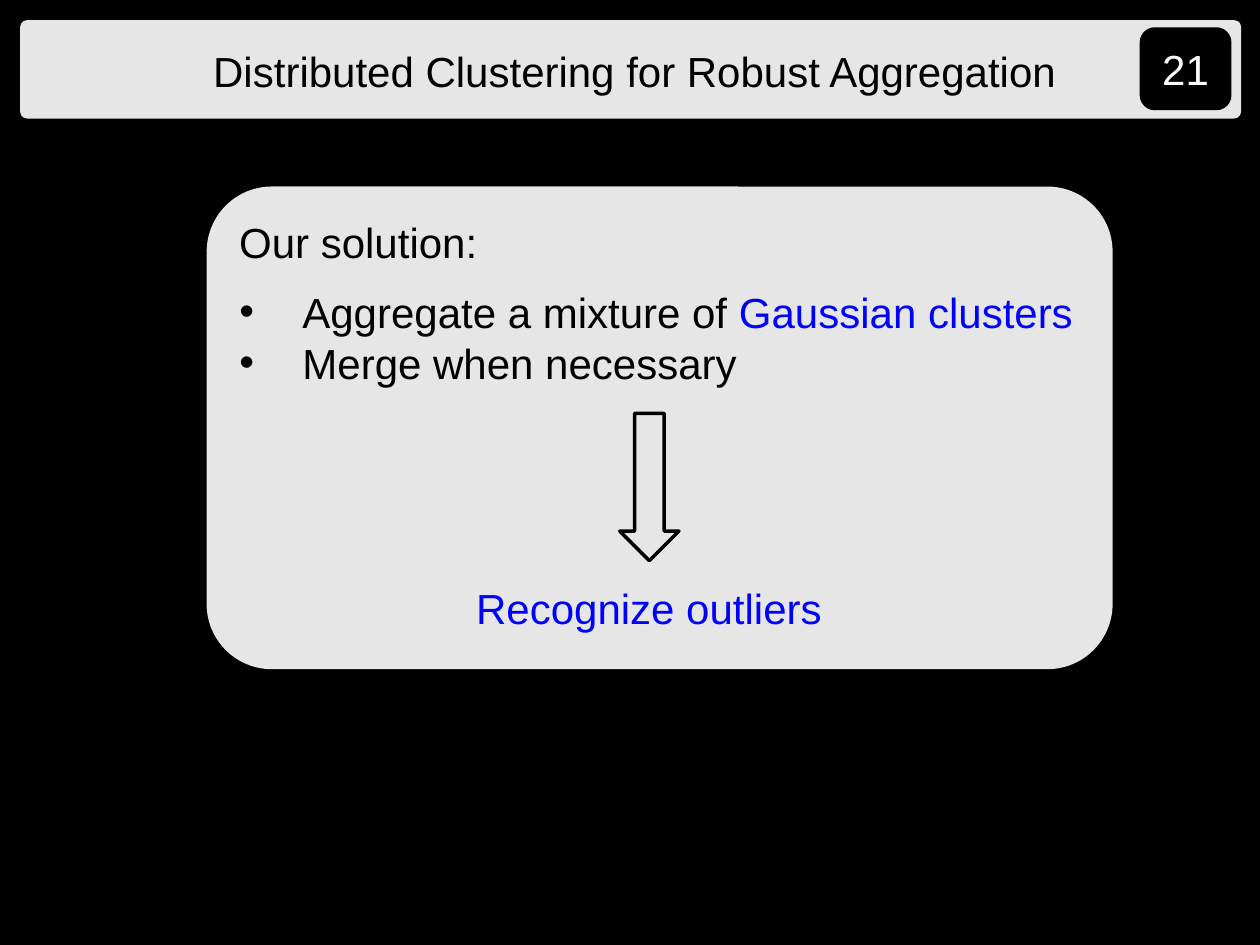
"""Build the slide on distributed clustering for robust aggregation."""
from dataclasses import dataclass
from typing import NamedTuple

from lxml import etree
from pptx import Presentation
from pptx.dml.color import RGBColor
from pptx.enum.shapes import MSO_SHAPE
from pptx.enum.text import MSO_ANCHOR, MSO_AUTO_SIZE, PP_ALIGN
from pptx.oxml.ns import qn
from pptx.shapes.autoshape import Shape
from pptx.slide import Slide
from pptx.util import Pt

ROUNDED, DOWN_ARROW = MSO_SHAPE.ROUNDED_RECTANGLE, MSO_SHAPE.DOWN_ARROW
TOP, MIDDLE = MSO_ANCHOR.TOP, MSO_ANCHOR.MIDDLE
LEFT, CENTER = PP_ALIGN.LEFT, PP_ALIGN.CENTER
NO_AUTOFIT = MSO_AUTO_SIZE.NONE


@dataclass(frozen=True)
class Theme:
    """Colours and type of the slide."""

    black: RGBColor = RGBColor(0, 0, 0)
    white: RGBColor = RGBColor(255, 255, 255)
    blue: RGBColor = RGBColor(0, 0, 255)
    font: str = "Arial"
    size: float = 24
    line_spacing: float = 29
    panel_opacity: int = 90
    outline: float = 2
    bullet_indent: float = 36


class Box(NamedTuple):
    """Position and size in points."""

    left: float
    top: float
    width: float
    height: float


class Span(NamedTuple):
    """Words in one colour."""

    text: str
    color: RGBColor


THEME = Theme()
HEADER = Box(11.5, 11.5, 697.7, 56.2)
TITLE = Box(16.6, 22.3, 692, 36)
NUMBER = Box(652.3, 16.6, 50.4, 45.4)
CARD = Box(118.1, 106.6, 517.7, 275.8)
INTRO = Box(129.6, 120.2, 385.9, 36)
STEPS = Box(129.6, 159.8, 500.4, 64.8)
ARROW = Box(354.2, 236.2, 33.8, 84.2)
RESULT = Box(265, 329, 218.9, 36)


def place(shape: Shape, box: Box) -> None:
    """Move and size a shape."""
    shape.left, shape.top, shape.width, shape.height = map(Pt, box)


def write(shape: Shape, lines: list[list[Span]], align: PP_ALIGN = LEFT,
          anchor: MSO_ANCHOR = TOP) -> None:
    """Fill a shape with lines of coloured spans."""
    frame = shape.text_frame
    frame.word_wrap = True
    frame.auto_size = NO_AUTOFIT
    frame.vertical_anchor = anchor
    frame.text = "\n".join("" for _ in lines)
    for paragraph, spans in zip(frame.paragraphs, lines):
        paragraph.alignment = align
        paragraph.space_before = Pt(0)
        paragraph.line_spacing = Pt(THEME.line_spacing)
        for span in spans:
            run = paragraph.add_run()
            run.text = span.text
            run.font.name = THEME.font
            run.font.size = Pt(THEME.size)
            run.font.color.rgb = span.color


def add_bullets(shape: Shape) -> None:
    """Give every paragraph a round bullet and a hanging indent."""
    indent = Pt(THEME.bullet_indent)
    for paragraph in shape.text_frame.paragraphs:
        properties = paragraph._p.get_or_add_pPr()
        properties.set("marL", str(indent))
        properties.set("indent", str(-indent))
        color = etree.SubElement(properties, qn("a:buClr"))
        etree.SubElement(color, qn("a:srgbClr"), val=str(THEME.black))
        etree.SubElement(properties, qn("a:buFont"), typeface=THEME.font)
        etree.SubElement(properties, qn("a:buChar"), char="•")


def add_panel(slide: Slide, box: Box, corner: float) -> Shape:
    """Add a translucent white rounded panel."""
    panel = slide.shapes.add_shape(ROUNDED, *map(Pt, box))
    panel.shadow.inherit = False
    panel.adjustments[0] = corner
    panel.fill.solid()
    panel.fill.fore_color.rgb = THEME.white
    color = panel.element.spPr.find(f"{qn('a:solidFill')}/{qn('a:srgbClr')}")
    etree.SubElement(color, qn("a:alpha"), val=str(THEME.panel_opacity * 1000))
    panel.line.fill.background()
    return panel


def add_outlined(slide: Slide, kind: MSO_SHAPE, box: Box) -> Shape:
    """Add an unfilled shape with a black outline."""
    shape = slide.shapes.add_shape(kind, *map(Pt, box))
    shape.shadow.inherit = False
    shape.fill.background()
    shape.line.color.rgb = THEME.black
    shape.line.width = Pt(THEME.outline)
    return shape


def add_label(slide: Slide, box: Box, span: Span) -> None:
    """Add a one-line text box."""
    write(slide.shapes.add_textbox(*map(Pt, box)), [[span]])


def main() -> None:
    """Build and save the slide."""
    presentation = Presentation()
    presentation.slide_width, presentation.slide_height = Pt(720), Pt(540)
    slide = presentation.slides.add_slide(presentation.slide_layouts[1])
    slide.background.fill.solid()
    slide.background.fill.fore_color.rgb = THEME.black

    header = add_panel(slide, HEADER, 0.07)
    title = slide.shapes.title
    place(title, TITLE)
    write(title, [[Span("Distributed Clustering for Robust Aggregation", THEME.black)]], CENTER)
    header.element.addnext(title.element)

    number = add_outlined(slide, ROUNDED, NUMBER)
    number.fill.solid()
    number.fill.fore_color.rgb = THEME.black
    write(number, [[Span("21", THEME.white)]], CENTER, MIDDLE)

    card = add_panel(slide, CARD, 0.135)
    steps = slide.placeholders[1]
    place(steps, STEPS)
    write(steps, [
        [Span("Aggregate a mixture of ", THEME.black), Span("Gaussian clusters", THEME.blue)],
        [Span("Merge when necessary", THEME.black)],
    ])
    add_bullets(steps)
    card.element.addnext(steps.element)

    add_label(slide, INTRO, Span("Our solution:", THEME.black))
    add_outlined(slide, DOWN_ARROW, ARROW)
    add_label(slide, RESULT, Span("Recognize outliers", THEME.blue))
    presentation.save("out.pptx")


if __name__ == "__main__":
    main()
